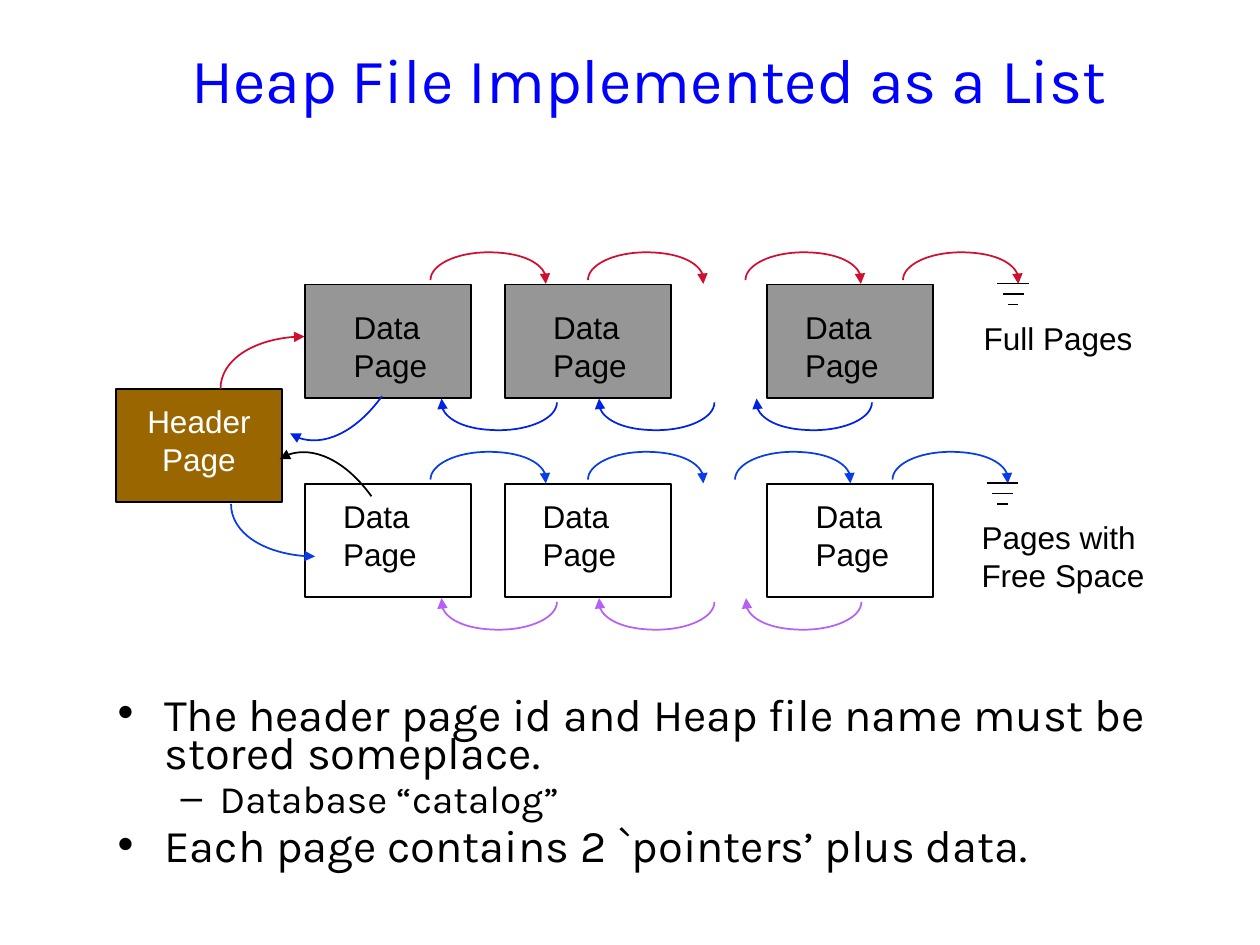
"""Build a slide on a heap file implemented as two linked lists of pages."""
from math import cos, radians, sin, tan

from lxml import etree
from pptx import Presentation
from pptx.dml.color import RGBColor
from pptx.enum.shapes import MSO_CONNECTOR, MSO_SHAPE
from pptx.enum.text import MSO_ANCHOR, MSO_AUTO_SIZE, PP_ALIGN
from pptx.oxml.ns import qn
from pptx.util import Inches, Pt

LEFT, CENTER = PP_ALIGN.LEFT, PP_ALIGN.CENTER
TOP, MIDDLE = MSO_ANCHOR.TOP, MSO_ANCHOR.MIDDLE
NO_FIT, GROW = MSO_AUTO_SIZE.NONE, MSO_AUTO_SIZE.SHAPE_TO_FIT_TEXT
RECTANGLE, STRAIGHT = MSO_SHAPE.RECTANGLE, MSO_CONNECTOR.STRAIGHT

COLORS = {
    "title": "0000FF", "black": "000000", "white": "FFFFFF",
    "full": "969696", "header": "996600", "red": "CF0E30",
    "navy": "0021E8", "blue": "063DE8", "violet": "B760F9",
}
COLUMNS, ROWS = 120, 90
PAGE_WIDTH, PAGE_HEIGHT = 15.84, 10.8
HOP_RADII = (5.52, 2.64)
TURN_RADII = (8, 5)


class HeapSlide:
    """Holds the style and the slide, with one method per kind of element."""

    heading_font, label_font = "Karla", "Arial"
    label_size, line_width = Pt(18), Pt(1)

    def __init__(self, presentation):
        self.slide = presentation.slides.add_slide(presentation.slide_layouts[1])
        self.column = presentation.slide_width / COLUMNS
        self.row = presentation.slide_height / ROWS

    def place(self, x, y):
        return round(x * self.column), round(y * self.row)

    def color(self, name):
        return RGBColor.from_string(COLORS[name])

    def run(self, paragraph, text, font, size, color):
        run = paragraph.add_run()
        run.text = text
        run.font.name, run.font.size = font, size
        run.font.color.rgb = self.color(color)

    def outline(self, shape, color):
        shape.line.color.rgb = self.color(color)
        shape.line.width = self.line_width

    def placeholder(self, index, x, y, width, height, anchor):
        shape = self.slide.placeholders[index]
        shape.left, shape.top = self.place(x, y)
        shape.width, shape.height = self.place(width, height)
        frame = shape.text_frame
        frame.auto_size, frame.vertical_anchor = NO_FIT, anchor
        return frame

    def title(self, text, *box):
        paragraph = self.placeholder(0, *box, MIDDLE).paragraphs[0]
        paragraph.alignment = LEFT
        self.run(paragraph, text, self.heading_font, Pt(36), "title")

    def bullets(self, items, *box):
        frame = self.placeholder(1, *box, TOP)
        styles = [("•", 0.37, 0.37, 25.9, 7), ("–", 0.81, 0.31, 22.2, 6)]
        for number, (level, text) in enumerate(items):
            mark, margin, hang, size, space = styles[level]
            paragraph = frame.add_paragraph() if number else frame.paragraphs[0]
            paragraph.level = level
            properties = paragraph._p.get_or_add_pPr()
            properties.set("marL", str(Inches(margin)))
            properties.set("indent", str(-Inches(hang)))
            bullet_color = etree.SubElement(properties, qn("a:buClr"))
            etree.SubElement(bullet_color, qn("a:srgbClr"), val=COLORS["black"])
            etree.SubElement(properties, qn("a:buFont"), typeface=self.label_font)
            etree.SubElement(properties, qn("a:buChar"), char=mark)
            paragraph.line_spacing = 0.7
            paragraph.space_before = Pt(space if number else 0)
            self.run(paragraph, text, self.heading_font, Pt(size), "black")

    def page(self, x, y, fill=None):
        shape = self.slide.shapes.add_shape(
            RECTANGLE, *self.place(x, y), *self.place(PAGE_WIDTH, PAGE_HEIGHT))
        shape.shadow.inherit = False
        if fill:
            shape.fill.solid()
            shape.fill.fore_color.rgb = self.color(fill)
        else:
            shape.fill.background()
        self.outline(shape, "black")

    def label(self, lines, x, y, width, color="black", alignment=LEFT):
        height = 1.2 + 3.6 * len(lines)
        shape = self.slide.shapes.add_textbox(
            *self.place(x, y), *self.place(width, height))
        frame = shape.text_frame
        frame.word_wrap, frame.auto_size = False, GROW
        for number, text in enumerate(lines):
            paragraph = frame.add_paragraph() if number else frame.paragraphs[0]
            paragraph.alignment = alignment
            self.run(paragraph, text, self.label_font, self.label_size, color)

    def arc(self, center, radii, angles, color, arrow="tailEnd", rotation=0):
        """Draw one Bézier curve between each two angles, given in degrees."""
        def point(angle, pull=0):
            return self.place(
                center[0] + radii[0] * (cos(angle) - pull * sin(angle)),
                center[1] + radii[1] * (sin(angle) + pull * cos(angle)))

        turns = [radians(angle) for angle in angles]
        points = []
        for start, end in zip(turns, turns[1:]):
            pull = 4 / 3 * tan((end - start) / 4)
            points += [point(start, pull), point(end, -pull), point(end)]
        builder = self.slide.shapes.build_freeform(*point(turns[0]))
        builder.add_line_segments(points, close=False)
        shape = builder.convert_to_shape()
        segments = list(shape._element.iter(qn("a:lnTo")))
        for first in range(0, len(segments), 3):
            curve = etree.SubElement(segments[first].getparent(), qn("a:cubicBezTo"))
            for segment in segments[first:first + 3]:
                curve.append(segment[0])
                segment.getparent().remove(segment)
        shape.rotation = rotation
        shape.shadow.inherit = False
        shape.fill.background()
        self.outline(shape, color)
        etree.SubElement(shape.line._get_or_add_ln(), qn("a:" + arrow), type="triangle")

    def next_hop(self, x, y, color):
        center = (x + HOP_RADII[0], y + HOP_RADII[1])
        self.arc(center, HOP_RADII, (180, 270, 360, 368), color)

    def previous_hop(self, x, y, color):
        center = (x + HOP_RADII[0], y + 0.36)
        self.arc(center, HOP_RADII, (0, 90, 180, 188), color)

    def ground(self, x, y):
        group = self.slide.shapes.add_group_shape()
        for level in range(3):
            inset = level / 2
            line = group.shapes.add_connector(
                STRAIGHT, *self.place(x + inset, y + level),
                *self.place(x + 3 - inset, y + level))
            self.outline(line, "black")
            etree.SubElement(line._element.spPr, qn("a:effectLst"))


def main():
    presentation = Presentation()
    presentation.slide_width, presentation.slide_height = Inches(10), Inches(7.5)
    heap = HeapSlide(presentation)

    heap.title("Heap File Implemented as a List", 17, 0, 94, 15)
    heap.bullets([
        (0, "The header page id and Heap file name must be stored someplace."),
        (1, "Database “catalog”"),
        (0, "Each page contains 2 `pointers’ plus data."),
    ], 10, 66.15, 101, 18.6)

    lists = [
        {"top": 27.1, "fill": "full", "labels": (32.5, 51.5, 75.5), "label_top": 28.73,
         "next": (41, 56, 71, 86), "next_color": "red",
         "previous": (42, 57, 72), "previous_color": "navy",
         "ground": 95, "caption": (["Full Pages"], 92.5, 29.75, 16.6)},
        {"top": 46.1, "fill": None, "labels": (31.5, 50.5, 76.5), "label_top": 46.73,
         "next": (41, 56, 70, 85), "next_color": "blue",
         "previous": (42, 57, 71), "previous_color": "violet",
         "ground": 94, "caption": (["Pages with", "Free Space"], 92.3, 48.75, 17.9)},
    ]
    for chain in lists:
        top = chain["top"]
        for page_left, label_left in zip((29.05, 48.1, 73.05), chain["labels"]):
            heap.page(page_left, top, chain["fill"])
            heap.label(["Data", "Page"], label_left, chain["label_top"], 9.5)
        for left in chain["next"]:
            heap.next_hop(left, top - 3.07, chain["next_color"])
        for left in chain["previous"]:
            heap.previous_hop(left, top + 10.87, chain["previous_color"])
        heap.ground(chain["ground"], top - 0.1)
        heap.label(*chain["caption"])

    heap.page(11.05, 37.05, "header")
    heap.label(["Header", "Page"], 12.8, 37.7, 12.3, "white", CENTER)
    heap.arc((29, 37.05), TURN_RADII, (180, 270), "red")
    heap.arc((28, 42), TURN_RADII, (270, 360), "navy", rotation=126)
    heap.arc((35, 48), TURN_RADII, (180, 270), "black", "headEnd", 54)
    heap.arc((30, 48), TURN_RADII, (90, 180), "blue", "headEnd")

    presentation.save("out.pptx")


if __name__ == "__main__":
    main()
